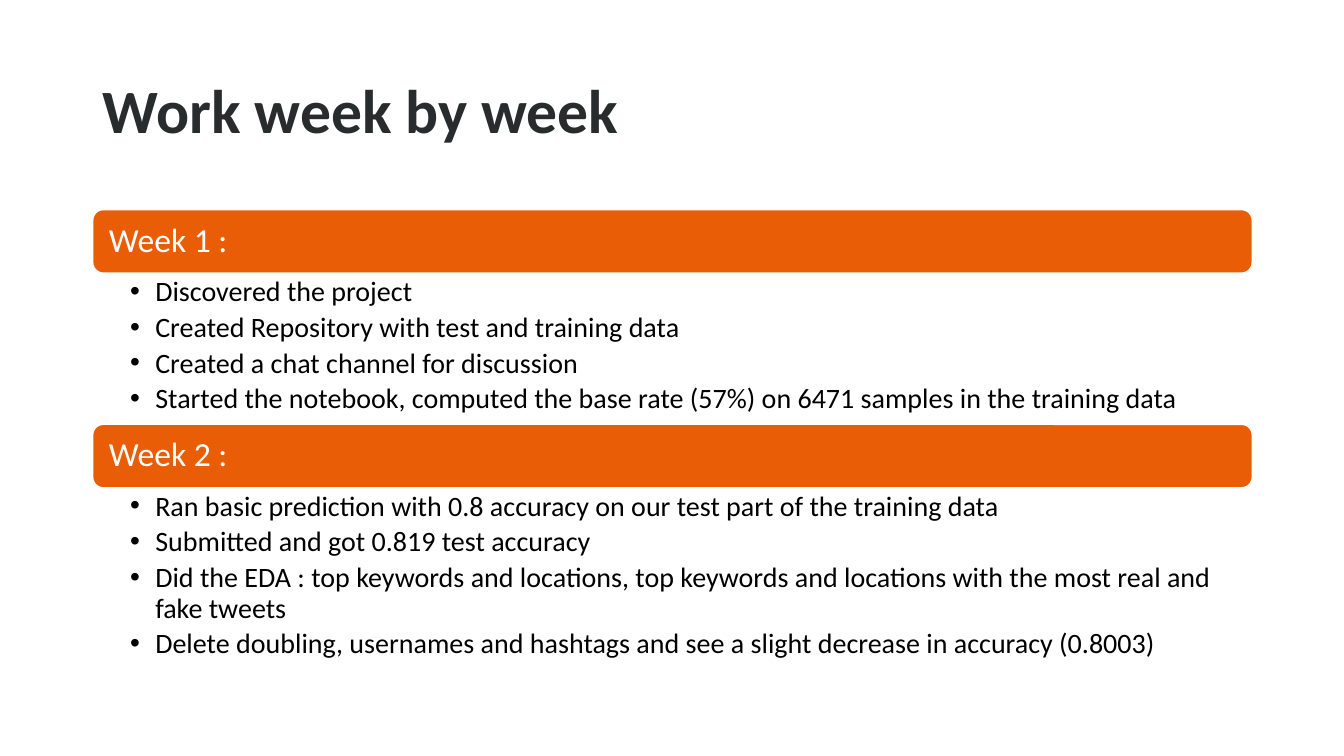
from pptx import Presentation
from pptx.dml.color import RGBColor
from pptx.enum.shapes import MSO_SHAPE as Shape
from pptx.enum.text import MSO_ANCHOR as Anchor, MSO_AUTO_SIZE as Fit, PP_ALIGN as Align
from pptx.oxml.ns import qn
from pptx.util import Inches, Pt
from lxml.etree import SubElement

TITLE = "Work week by week"
WEEKS = [
    ("Week 1 :", 1.5, [
        "Discovered the project",
        "Created Repository with test and training data",
        "Created a chat channel for discussion",
        "Started the notebook, computed the base rate (57%) on 6471 samples in the training data",
    ]),
    ("Week 2 :", 1.82, [
        "Ran basic prediction with 0.8 accuracy on our test part of the training data",
        "Submitted and got 0.819 test accuracy",
        "Did the EDA : top keywords and locations, top keywords and locations "
        "with the most real and fake tweets",
        "Delete doubling, usernames and hashtags and see a slight decrease in accuracy (0.8003)",
    ]),
]
FONT = "Calibri"
ORANGE = RGBColor(0xE9, 0x5D, 0x07)
DARK = RGBColor(0x29, 0x2C, 0x2D)
WHITE = RGBColor(0xFF, 0xFF, 0xFF)
BLACK = RGBColor(0, 0, 0)
LEFT, WIDE, TOP, BAR = 0.92, 11.5, 2.08, 0.63


def place(shape, top, high):
    """Move a placeholder into the content column."""
    shape.left, shape.top = Inches(LEFT), Inches(top)
    shape.width, shape.height = Inches(WIDE), Inches(high)


def style(frame, size, color, anchor, bold=False, after=0):
    """Format all text of a frame."""
    frame.word_wrap = True
    frame.auto_size = Fit.NONE
    frame.vertical_anchor = anchor
    for para in frame.paragraphs:
        para.alignment = Align.LEFT
        para.line_spacing = 0.9
        para.space_before, para.space_after = Pt(0), Pt(after)
        for run in para.runs:
            font = run.font
            font.name, font.size, font.bold = FONT, Pt(size), bold
            font.color.rgb = color


def add_bar(slide, text, top):
    """Draw a week heading bar."""
    bar = slide.shapes.add_shape(
        Shape.ROUNDED_RECTANGLE, Inches(LEFT), Inches(top), Inches(WIDE), Inches(BAR))
    bar.shadow.inherit = False
    bar.fill.solid()
    bar.fill.fore_color.rgb = ORANGE
    bar.line.color.rgb = WHITE
    bar.line.width = Pt(1)
    frame = bar.text_frame
    frame.text = text
    frame.margin_left = Inches(0.13)
    style(frame, 24, WHITE, Anchor.MIDDLE)


def fill_list(body, items, top, high):
    """Fill a body placeholder with bullets."""
    place(body, top, high)
    frame = body.text_frame
    frame.text = "\n".join(items)
    frame.margin_left, frame.margin_right = Inches(0.37), Inches(0.2)
    frame.margin_top = frame.margin_bottom = Inches(0.04)
    style(frame, 20, BLACK, Anchor.TOP, after=4)
    for para in frame.paragraphs:
        props = para._p.get_or_add_pPr()
        props.set("marL", str(Inches(0.25)))
        props.set("indent", str(Inches(-0.25)))
        SubElement(props, qn("a:buChar")).set("char", "•")


def main():
    """Build the slide and save it."""
    deck = Presentation()
    deck.slide_width, deck.slide_height = Inches(13.33), Inches(7.5)
    slide = deck.slides.add_slide(deck.slide_layouts[3])
    title, *bodies = slide.placeholders
    place(title, 0.4, 1.45)
    title.text_frame.text = TITLE
    style(title.text_frame, 44, DARK, Anchor.MIDDLE, bold=True)
    top = TOP
    for body, (name, high, items) in zip(bodies, WEEKS):
        add_bar(slide, name, top)
        fill_list(body, items, top + BAR, high)
        top += BAR + high
    deck.save("out.pptx")


if __name__ == "__main__":
    main()
